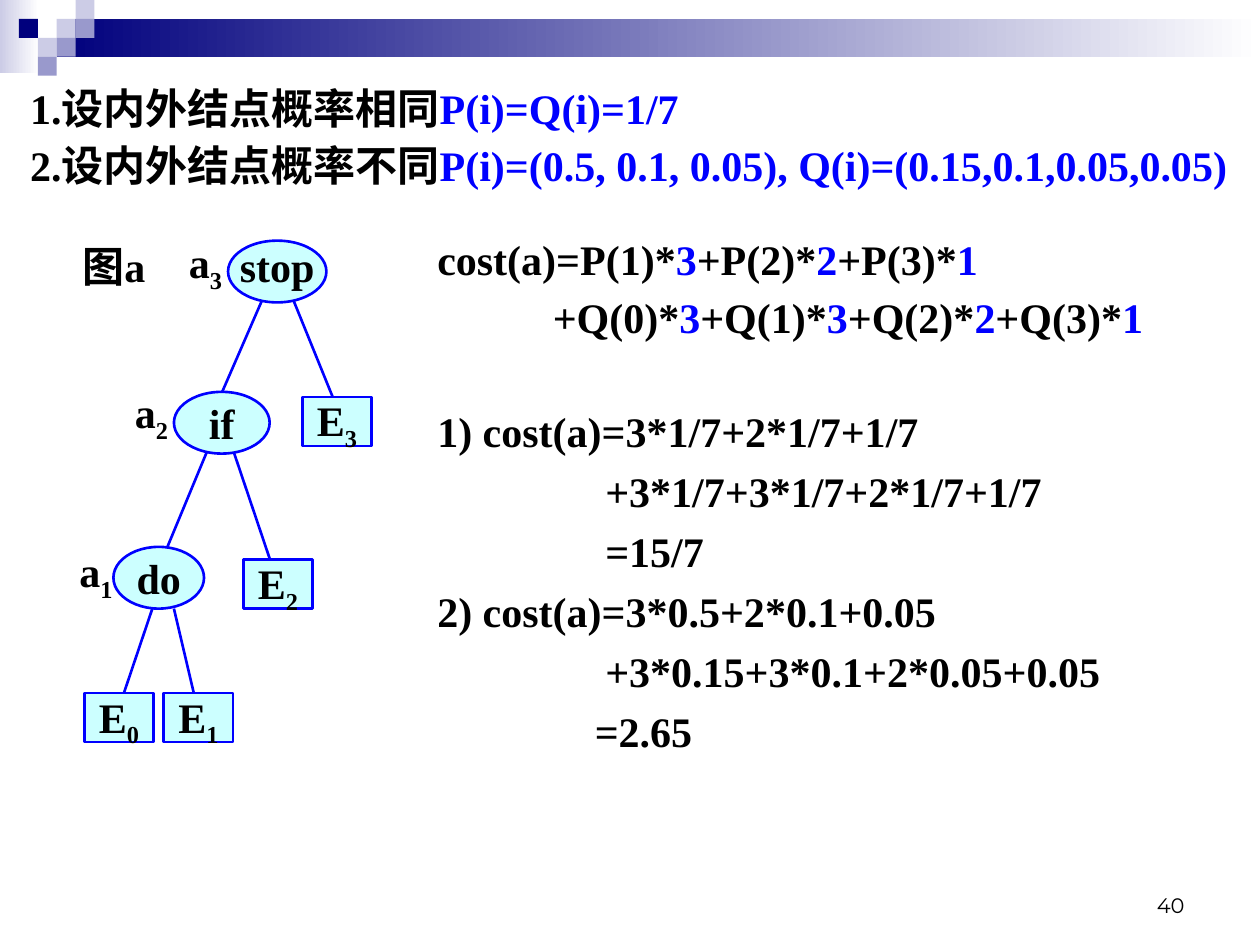
from lxml.etree import SubElement
from pptx import Presentation
from pptx.dml.color import RGBColor
from pptx.enum.shapes import MSO_CONNECTOR, MSO_SHAPE
from pptx.enum.text import MSO_ANCHOR, PP_ALIGN
from pptx.oxml.ns import qn
from pptx.util import Pt

BLACK = RGBColor(0x00, 0x00, 0x00)
WHITE = RGBColor(0xFF, 0xFF, 0xFF)
BLUE = RGBColor(0x00, 0x00, 0xFF)
NAVY = RGBColor(0x00, 0x00, 0x7D)
LAVENDER = RGBColor(0xCC, 0xCC, 0xE6)
PERIWINKLE = RGBColor(0x99, 0x99, 0xCC)
PALE_CYAN = RGBColor(0xCC, 0xFF, 0xFF)

SERIF = "Times New Roman"
NARROW_INSETS = (2.9, 2.9)
WIDE_INSETS = (7.2, 3.6)


def set_frame(shape, insets, anchor=MSO_ANCHOR.TOP, wrap=True):
    frame = shape.text_frame
    frame.margin_left = frame.margin_right = Pt(insets[0])
    frame.margin_top = frame.margin_bottom = Pt(insets[1])
    frame.vertical_anchor = anchor
    frame.word_wrap = wrap
    return frame


def add_run(paragraph, text, color=BLACK, size=24, font=SERIF, bold=True):
    run = paragraph.add_run()
    run.text = text
    run.font.size = Pt(size)
    run.font.name = font
    run.font.bold = bold
    run.font.color.rgb = color
    return run


def add_subscripted(paragraph, base, subscript):
    add_run(paragraph, base)
    if subscript:
        run = add_run(paragraph, subscript)
        run.font._element.set("baseline", "-25000")


def add_text_box(slide, box, insets, **frame_options):
    shape = slide.shapes.add_textbox(*map(Pt, box))
    return set_frame(shape, insets, **frame_options)


def add_lines(slide, box, lines, line_spacing, space_before):
    frame = add_text_box(slide, box, NARROW_INSETS)
    for index, (indent, pieces) in enumerate(lines):
        paragraph = frame.paragraphs[0] if index == 0 else frame.add_paragraph()
        paragraph.line_spacing = line_spacing
        if index:
            paragraph.space_before = Pt(space_before)
        if indent:
            properties = paragraph._p.get_or_add_pPr()
            properties.set("marL", str(Pt(indent)))
            properties.set("indent", "0")
        for piece, color in pieces:
            add_run(paragraph, piece, color)


def add_rectangle(slide, box):
    shape = slide.shapes.add_shape(MSO_SHAPE.RECTANGLE, *map(Pt, box))
    shape.shadow.inherit = False
    shape.line.fill.background()
    return shape


def add_banner(slide, box):
    left, top, width, height = box
    cell = 10.8
    gradients = [
        ((left, top, 22.3, height), LAVENDER),
        ((left + 3 * cell, top + cell, width - 3 * cell, 2 * cell), NAVY),
    ]
    for area, color in gradients:
        fill = add_rectangle(slide, area).fill
        fill.gradient()
        fill.gradient_angle = 0
        for stop, stop_color in zip(fill.gradient_stops, (color, WHITE)):
            stop.color.rgb = stop_color
    squares = [
        (3, 1, LAVENDER), (4, 0, LAVENDER), (4, 1, PERIWINKLE),
        (2, 2, LAVENDER), (1, 1, NAVY), (3, 2, PERIWINKLE), (2, 3, PERIWINKLE),
    ]
    for column, row, color in squares:
        area = (left + column * cell, top + row * cell, cell, cell)
        square = add_rectangle(slide, area)
        square.fill.solid()
        square.fill.fore_color.rgb = color


def add_edge(slide, start, end):
    edge = slide.shapes.add_connector(MSO_CONNECTOR.STRAIGHT, *map(Pt, start + end))
    edge.line.color.rgb = BLUE
    edge.line.width = Pt(1.5)
    SubElement(edge._element.spPr, qn("a:effectLst"))


def add_node(slide, kind, box, base, subscript, insets, line_spacing):
    node = slide.shapes.add_shape(kind, *map(Pt, box))
    node.shadow.inherit = False
    node.fill.solid()
    node.fill.fore_color.rgb = PALE_CYAN
    node.line.color.rgb = BLUE
    node.line.width = Pt(1.5)
    frame = set_frame(node, insets, MSO_ANCHOR.MIDDLE, wrap=False)
    paragraph = frame.paragraphs[0]
    paragraph.alignment = PP_ALIGN.CENTER
    paragraph.line_spacing = line_spacing
    add_subscripted(paragraph, base, subscript)


def add_tree(slide, box):
    left, top = box[:2]
    caption = add_text_box(slide, (left, top, 56.5, 36), WIDE_INSETS, wrap=False)
    add_run(caption.paragraphs[0], "图a")

    edges = [
        (127, 35.9, 150.1, 92.8), (110.5, 35.9, 86.7, 90.6),
        (78.1, 124.5, 53.6, 183.5), (93.9, 125.2, 115.5, 189.3),
        (47.8, 211.6, 30.6, 262.7), (59.4, 213.8, 70.9, 262.7),
    ]
    for x1, y1, x2, y2 in edges:
        add_edge(slide, (left + x1, top + y1), (left + x2, top + y2))

    internal_nodes = [
        ("stop", "3", 90.3, 3.5, 56.2, 65.1, 4.2, 0.7),
        ("if", "2", 59.4, 89.9, 54.7, 34.2, 89.9, 1.0),
        ("do", "1", 24.8, 178.5, 51.8, 2.5, 180.6, 1.0),
    ]
    for word, number, x, y, width, label_x, label_y, spacing in internal_nodes:
        add_node(slide, MSO_SHAPE.OVAL, (left + x, top + y, width, 35.3),
                 word, "", WIDE_INSETS, spacing)
        label_box = (left + label_x, top + label_y, 31, 28.8)
        label = add_text_box(slide, label_box, NARROW_INSETS).paragraphs[0]
        label.line_spacing = 0.7
        add_subscripted(label, "a", number)

    external_nodes = [(8.2, 262), (53.6, 262), (99, 185.7), (132.8, 92.8)]
    for number, (x, y) in enumerate(external_nodes):
        add_node(slide, MSO_SHAPE.RECTANGLE, (left + x, top + y, 39.6, 28.1),
                 "E", str(number), NARROW_INSETS, 0.9)


def add_assumptions(slide, box):
    add_lines(slide, box, [
        (0, [("1.设内外结点概率相同", BLACK), ("P(i)=Q(i)=1/7", BLUE)]),
        (0, [("2.设内外结点概率不同", BLACK),
             ("P(i)=(0.5, 0.1, 0.05), Q(i)=(0.15,0.1,0.05,0.05)", BLUE)]),
    ], line_spacing=0.95, space_before=5.5)


def weighted_sum(*terms):
    return [piece for factor, level in terms
            for piece in ((factor, BLACK), (level, BLUE))]


def add_cost_formula(slide, box):
    add_lines(slide, box, [
        (0, weighted_sum(("cost(a)=P(1)*", "3"), ("+P(2)*", "2"), ("+P(3)*", "1"))),
        (66, weighted_sum(("+Q(0)*", "3"), ("+Q(1)*", "3"),
                          ("+Q(2)*", "2"), ("+Q(3)*", "1"))),
    ], line_spacing=0.9, space_before=7)


def add_cost_results(slide, box):
    steps = [
        (0, "1) cost(a)=3*1/7+2*1/7+1/7"),
        (96, "+3*1/7+3*1/7+2*1/7+1/7"),
        (96, "=15/7"),
        (0, "2) cost(a)=3*0.5+2*0.1+0.05"),
        (96, "+3*0.15+3*0.1+2*0.05+0.05"),
        (90, "=2.65"),
    ]
    lines = [(indent, [(text, BLACK)]) for indent, text in steps]
    add_lines(slide, box, lines, line_spacing=1.0, space_before=5.5)


def add_page_number(slide, box):
    frame = add_text_box(slide, box, WIDE_INSETS, anchor=MSO_ANCHOR.BOTTOM)
    paragraph = frame.paragraphs[0]
    paragraph.alignment = PP_ALIGN.RIGHT
    add_run(paragraph, "40", size=12, font="Montserrat", bold=False)


def main():
    presentation = Presentation()
    presentation.slide_width = Pt(720)
    presentation.slide_height = Pt(540)
    slide = presentation.slides.add_slide(presentation.slide_layouts[6])
    add_banner(slide, (0, 0, 720, 41.8))
    add_page_number(slide, (516, 492, 168, 36))
    add_tree(slide, (40, 134, 173, 290))
    add_assumptions(slide, (14.4, 46.1, 703, 65))
    add_cost_formula(slide, (247, 134, 429, 63))
    add_cost_results(slide, (247, 229, 449, 201))
    presentation.save("out.pptx")


if __name__ == "__main__":
    main()
